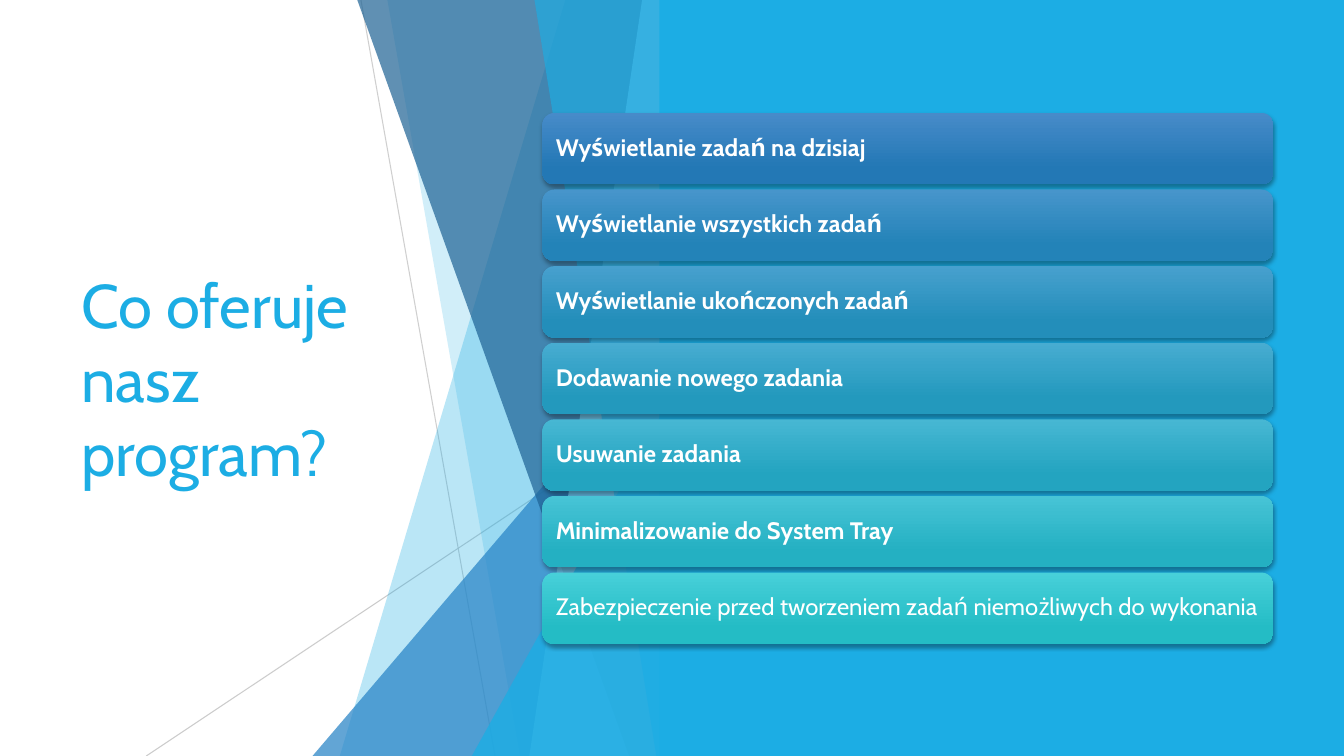
"""Build a slide that lists what the program offers."""
from lxml import etree
from pptx import Presentation
from pptx.dml.color import RGBColor
from pptx.enum.shapes import MSO_CONNECTOR, MSO_SHAPE
from pptx.enum.text import MSO_ANCHOR, PP_ALIGN
from pptx.oxml.ns import qn
from pptx.util import Inches, Pt

LINE = MSO_CONNECTOR.STRAIGHT
RECT = MSO_SHAPE.RECTANGLE
ROUND = MSO_SHAPE.ROUNDED_RECTANGLE
WEDGE = MSO_SHAPE.ISOSCELES_TRIANGLE
MIDDLE = MSO_ANCHOR.MIDDLE
LEFT = PP_ALIGN.LEFT

WHITE = RGBColor(0xFF, 0xFF, 0xFF)
GRAY = RGBColor(0xBF, 0xBF, 0xBF)
BLACK = RGBColor(0x00, 0x00, 0x00)
SKY = RGBColor(0x1C, 0xAD, 0xE4)
PALE = RGBColor(0x77, 0xCE, 0xEF)
BLUE = RGBColor(0x26, 0x83, 0xC6)
NAVY = RGBColor(0x1D, 0x62, 0x94)

TOP, BASE, EDGE = -0.01, 7.5, 6.66

OFFERS = [
    ("Wyświetlanie zadań na dzisiaj",
     RGBColor(0x47, 0x8B, 0xC9), RGBColor(0x23, 0x78, 0xB5)),
    ("Wyświetlanie wszystkich zadań",
     RGBColor(0x47, 0x95, 0xCB), RGBColor(0x23, 0x83, 0xB8)),
    ("Wyświetlanie ukończonych zadań",
     RGBColor(0x47, 0xA0, 0xCE), RGBColor(0x23, 0x8E, 0xBA)),
    ("Dodawanie nowego zadania",
     RGBColor(0x47, 0xAC, 0xD1), RGBColor(0x23, 0x99, 0xBD)),
    ("Usuwanie zadania",
     RGBColor(0x47, 0xB7, 0xD3), RGBColor(0x23, 0xA4, 0xC0)),
    ("Minimalizowanie do System Tray",
     RGBColor(0x47, 0xC4, 0xD6), RGBColor(0x24, 0xB0, 0xC2)),
    ("Zabezpieczenie przed tworzeniem zadań niemożliwych do wykonania",
     RGBColor(0x47, 0xD0, 0xD9), RGBColor(0x24, 0xBC, 0xC5)),
]


def write(shape, text, size=17, color=WHITE, font="Cabin", bold=False,
          space=1.0, inset=0.1):
    frame = shape.text_frame
    frame.word_wrap = True
    frame.vertical_anchor = MIDDLE
    frame.margin_left = frame.margin_right = Inches(inset)
    para = frame.paragraphs[0]
    para.alignment = LEFT
    para.line_spacing = space
    run = para.add_run()
    run.text = text
    run.font.name = font
    run.font.size = Pt(size)
    run.font.bold = bold
    run.font.color.rgb = color


def fade(node, alpha):
    for tint in node.iter(qn("a:srgbClr")):
        etree.SubElement(tint, qn("a:alpha"), val=str(alpha * 1000))


class Sketch:
    def __init__(self, slide, font="Cabin"):
        self.shapes = slide.shapes
        self.font = font

    def paint(self, shape, color, alpha=100):
        shape.shadow.inherit = False
        shape.line.fill.background()
        shape.fill.solid()
        shape.fill.fore_color.rgb = color
        if alpha < 100:
            fade(shape.fill._xPr, alpha)

    def block(self, kind, x, y, w, h):
        return self.shapes.add_shape(
            kind, Inches(x), Inches(y), Inches(w), Inches(h))

    def panel(self, x, w, color):
        self.paint(self.block(RECT, x, 0, w, BASE), color)

    def wedge(self, x, y, color, alpha):
        shape = self.block(WEDGE, x, y, EDGE - x, BASE - y)
        shape.adjustments[0] = 1
        self.paint(shape, color, alpha)

    def facet(self, top, base, color, alpha):
        spots = [(EDGE, TOP), (EDGE, BASE), (base, BASE)]
        form = self.shapes.build_freeform(Inches(top), Inches(TOP))
        form.add_line_segments([(Inches(x), Inches(y)) for x, y in spots])
        self.paint(form.convert_to_shape(), color, alpha)

    def line(self, x1, y1, x2, y2, alpha):
        link = self.shapes.add_connector(
            LINE, Inches(x1), Inches(y1), Inches(x2), Inches(y2))
        link.line.color.rgb = GRAY
        link.line.width = Pt(0.75)
        props = link._element.spPr
        fade(props, alpha)
        etree.SubElement(props, qn("a:effectLst"))

    def title(self, text, x, y, w, h):
        box = self.shapes.add_textbox(
            Inches(x), Inches(y), Inches(w), Inches(h))
        write(box, text, size=44, color=SKY, font=self.font)

    def bar(self, text, y, light, dark, bold):
        shape = self.block(ROUND, 5.38, y, 7.25, 0.71)
        shape.line.fill.background()
        shape.fill.gradient()
        shape.fill.gradient_angle = 270
        stops = zip(shape.fill.gradient_stops, (0, 0.78), (light, dark))
        for stop, place, color in stops:
            stop.position = place
            stop.color.rgb = color
        self.shade(shape)
        write(shape, text, font=self.font, bold=bold, space=0.9)

    def shade(self, shape):
        shape.shadow.inherit = False
        glow = etree.SubElement(
            shape._element.spPr.find(qn("a:effectLst")), qn("a:outerShdw"),
            blurRad=str(Pt(3)), dist=str(Pt(2)), dir="5400000",
            rotWithShape="0")
        etree.SubElement(glow, qn("a:srgbClr"), val=str(BLACK))
        fade(glow, 35)


def main():
    deck = Presentation()
    deck.slide_width = Inches(13.33)
    deck.slide_height = Inches(7.5)
    sketch = Sketch(deck.slides.add_slide(deck.slide_layouts[6]))

    sketch.panel(0, 13.33, WHITE)
    sketch.title("Co oferuje nasz program?", 0.71, 1.51, 3.88, 4.48)
    sketch.line(3.58, 0, 4.91, BASE, 75)
    sketch.line(EDGE, 4.03, 1.45, BASE, 80)
    sketch.facet(5.61, 3.37, SKY, 30)
    sketch.facet(3.84, 5.16, SKY, 20)
    sketch.wedge(3.1, 3.33, BLUE, 72)
    sketch.facet(3.54, 6.24, NAVY, 70)
    sketch.facet(6.37, 5.25, PALE, 70)
    sketch.facet(5.3, 6.51, SKY, 65)
    sketch.wedge(4.68, 3.93, SKY, 80)
    sketch.panel(6.54, 6.79, SKY)

    last = len(OFFERS) - 1
    for i, (text, light, dark) in enumerate(OFFERS):
        sketch.bar(text, 1.12 + 0.76 * i, light, dark, bold=i < last)

    deck.save("out.pptx")


if __name__ == "__main__":
    main()
